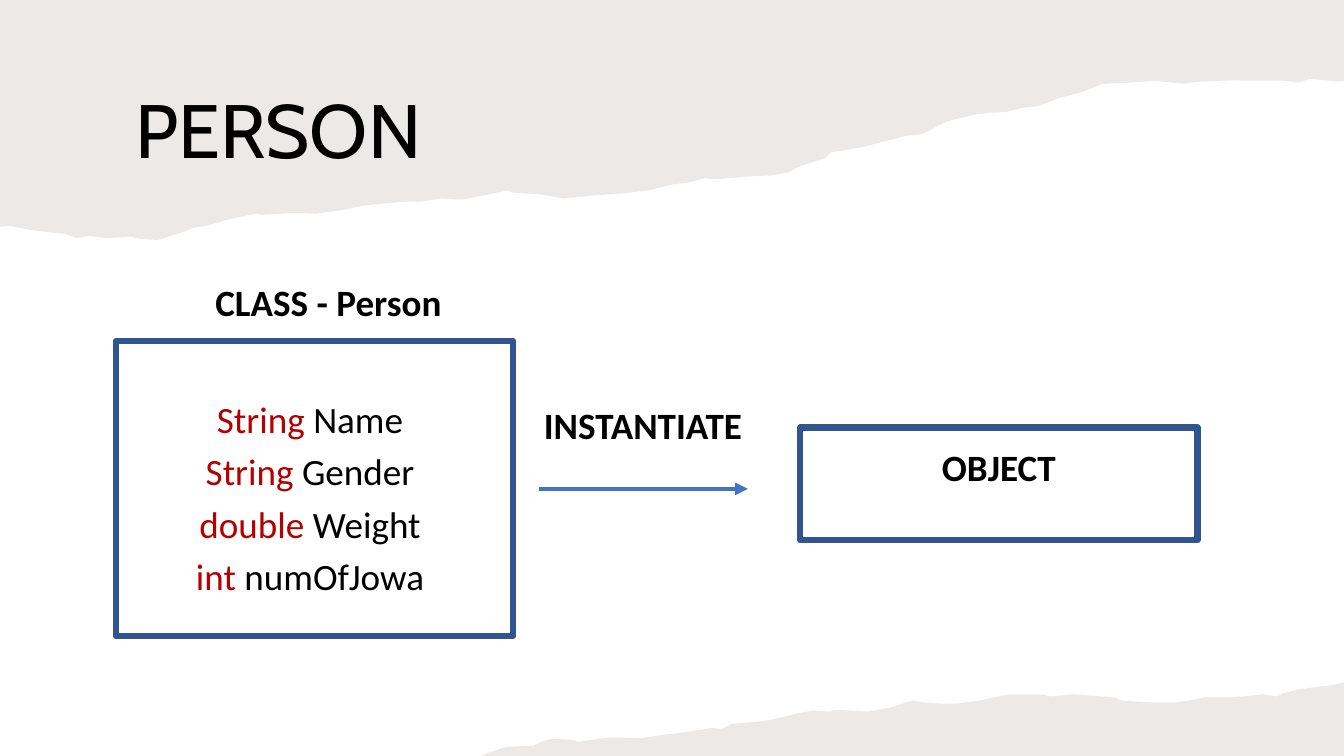
from dataclasses import dataclass

from lxml import etree
from pptx import Presentation
from pptx.dml.color import RGBColor
from pptx.enum import shapes, text
from pptx.oxml import ns
from pptx.util import Pt

TITLE = "PERSON"
FIELDS = [
    ("String", " Name"),
    ("String", " Gender"),
    ("double", " Weight"),
    ("int", " numOfJowa"),
]
LABELS = [
    ("INSTANTIATE", 347, 283.7),
    ("CLASS - Person", 122.4, 195.8),
]
OBJECT = "OBJECT"

TOP_EDGE = [
    (960, 57.6), (957, 58.3), (949, 57.6), (936, 56.2), (928, 59), (917, 57.6),
    (894, 57.6), (879, 57.4), (857, 58.3), (845, 59.8), (824, 57.6), (807, 59),
    (787, 60), (781, 62.6), (771, 66.2), (755, 70.6), (741, 76), (730, 77),
    (719, 80), (706, 80.6), (696, 82), (683, 85), (676, 87), (666, 92),
    (659, 95.8), (646, 97.2), (636, 100), (627, 102.2), (617, 105), (594, 108.7),
    (589, 113), (569.5, 119.5), (564, 123), (551, 125.3), (535, 126), (513, 128),
    (502.6, 127.4), (492.5, 130.3), (480, 131.8), (463, 136), (444, 138.2),
    (423, 139.7), (402.5, 141.8), (387, 139), (366, 137.5), (363, 136),
    (351, 138.5), (330, 142.6), (315, 141.8), (300, 144), (289.5, 144),
    (281, 144.7), (258.5, 147), (246, 149.8), (226, 152.6), (211, 152),
    (187, 153.4), (183, 152.6), (176, 154), (162, 157), (147.6, 161.3),
    (138, 162.7), (129, 166.3), (113, 171.4), (101, 170.8), (94, 169.2),
    (76, 170), (64, 168.5), (54, 170), (47, 167), (38, 166.3), (21.6, 164.2),
    (7, 161.3), (0, 162),
]
BOTTOM_EDGE = [
    (343.5, 540), (347, 538.6), (361.5, 533.5), (381.6, 532.6), (386, 530),
    (394, 527.8), (409, 528.5), (413, 529.9), (422, 528.5), (434, 527),
    (446, 527), (458, 527.4), (473, 525), (482, 524), (501, 521.3), (508, 520),
    (515.5, 520.6), (523, 517), (542, 515.5), (552, 514), (560, 512),
    (569, 509.8), (580, 507.6), (592.6, 508.3), (597, 507), (620, 508.3),
    (636, 505.4), (647, 501.8), (652, 500.4), (660, 501.8), (671, 502.6),
    (684, 502.6), (700, 500.4), (721, 496), (744.5, 496), (750, 497.5),
    (767.5, 496), (796, 498.2), (801, 500.4), (821, 501.8), (839, 501.8),
    (850, 500.4), (860, 498.2), (878, 498.2), (888.5, 497.5), (901.5, 496),
    (912, 497.5), (916, 495.4), (927, 492.5), (944, 490.3), (954, 489),
    (960, 487.4),
]


@dataclass(frozen=True)
class Theme:
    paper: str = "ECEAE9"
    white: str = "FFFFFF"
    ink: str = "000000"
    keyword: str = "B30000"
    border: str = "325491"
    arrow: str = "4472C4"
    heading_font: str = "Cabin"
    body_font: str = "Calibri"
    heading_size: float = 54
    body_size: float = 26.5


THEME = Theme()
WIDTH, HEIGHT = 960, 540
BOX_WIDTH = 283.7


def colour(value):
    return RGBColor.from_string(value)


def write(shape, lines, *, font=THEME.body_font, size=THEME.body_size, bold=False,
          align=text.PP_ALIGN.CENTER, anchor=text.MSO_ANCHOR.TOP, line_spacing=1.0,
          after=5.4, top=3.6, right=7.2):
    frame = shape.text_frame
    frame.word_wrap = True
    frame.auto_size = text.MSO_AUTO_SIZE.NONE
    frame.vertical_anchor = anchor
    frame.margin_top, frame.margin_right = Pt(top), Pt(right)
    for index, line in enumerate(lines):
        paragraph = frame.add_paragraph() if index else frame.paragraphs[0]
        paragraph.alignment = align
        paragraph.line_spacing = line_spacing
        paragraph.space_before, paragraph.space_after = Pt(0), Pt(after)
        for words, ink in line:
            run = paragraph.add_run()
            run.text = words
            run.font.name = font
            run.font.size = Pt(size)
            run.font.bold = bold
            run.font.color.rgb = colour(ink)


def add_torn_paper(slide, outline):
    points = [(Pt(x), Pt(y)) for x, y in outline]
    builder = slide.shapes.build_freeform(*points[0])
    builder.add_line_segments(points[1:], close=True)
    shape = builder.convert_to_shape()
    shape.shadow.inherit = False
    shape.fill.solid()
    shape.fill.fore_color.rgb = colour(THEME.paper)
    shape.line.fill.background()


def add_box(slide, left, top, height):
    shape = slide.shapes.add_shape(shapes.MSO_SHAPE.RECTANGLE,
                                   Pt(left), Pt(top), Pt(BOX_WIDTH), Pt(height))
    shape.shadow.inherit = False
    shape.fill.solid()
    shape.fill.fore_color.rgb = colour(THEME.white)
    shape.line.color.rgb = colour(THEME.border)
    shape.line.width = Pt(4.5)
    return shape


def add_arrow(slide, left, right, y):
    connector = slide.shapes.add_connector(shapes.MSO_CONNECTOR.STRAIGHT,
                                           Pt(left), Pt(y), Pt(right), Pt(y))
    connector.line.color.rgb = colour(THEME.arrow)
    connector.line.width = Pt(3)
    etree.SubElement(connector.line._get_or_add_ln(), ns.qn("a:tailEnd"), type="triangle")
    etree.SubElement(connector._element.spPr, ns.qn("a:effectLst"))


def main():
    presentation = Presentation()
    presentation.slide_width, presentation.slide_height = Pt(WIDTH), Pt(HEIGHT)
    slide = presentation.slides.add_slide(presentation.slide_layouts[5])

    add_torn_paper(slide, [(0, 0), (WIDTH, 0)] + TOP_EDGE)
    add_torn_paper(slide, BOTTOM_EDGE + [(WIDTH, HEIGHT)])

    title = slide.shapes.title
    slide.shapes._spTree.append(title._element)
    title.left, title.top, title.width, title.height = Pt(89.3), Pt(58.3), Pt(730), Pt(74.9)
    write(title, [[(TITLE, THEME.ink)]], font=THEME.heading_font, size=THEME.heading_size,
          align=text.PP_ALIGN.LEFT, anchor=text.MSO_ANCHOR.MIDDLE, line_spacing=0.9, after=0)

    class_box = add_box(slide, 82.8, 243.4, 211)
    write(class_box, [[(kind, THEME.keyword), (name, THEME.ink)] for kind, name in FIELDS],
          top=40, right=13.4)
    add_arrow(slide, 385.2, 534.2, 349.2)
    object_box = add_box(slide, 571.7, 305.3, 80.6)
    write(object_box, [[(OBJECT, THEME.ink)]], bold=True, top=12.4)

    for label, left, top in LABELS:
        box = slide.shapes.add_textbox(Pt(left), Pt(top), Pt(224.6), Pt(39.6))
        write(box, [[(label, THEME.ink)]], bold=True)

    presentation.save("out.pptx")


if __name__ == "__main__":
    main()
